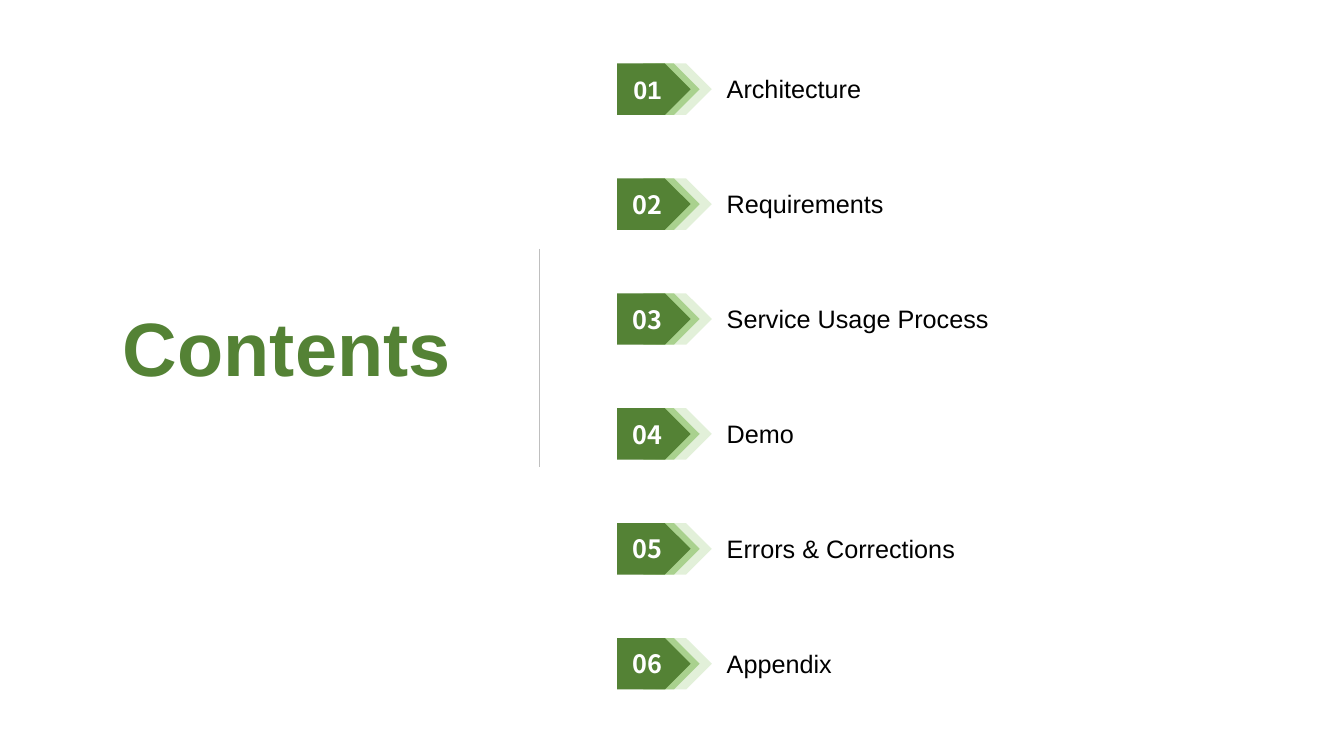
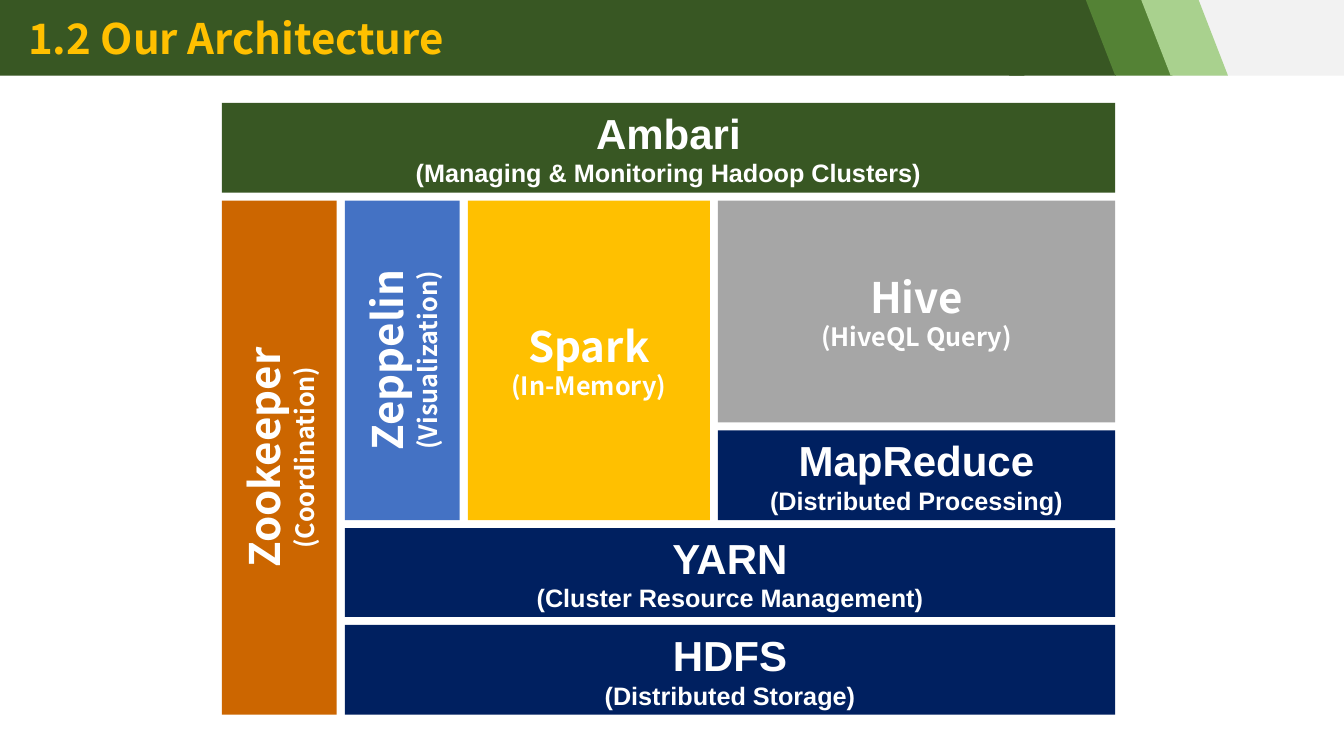
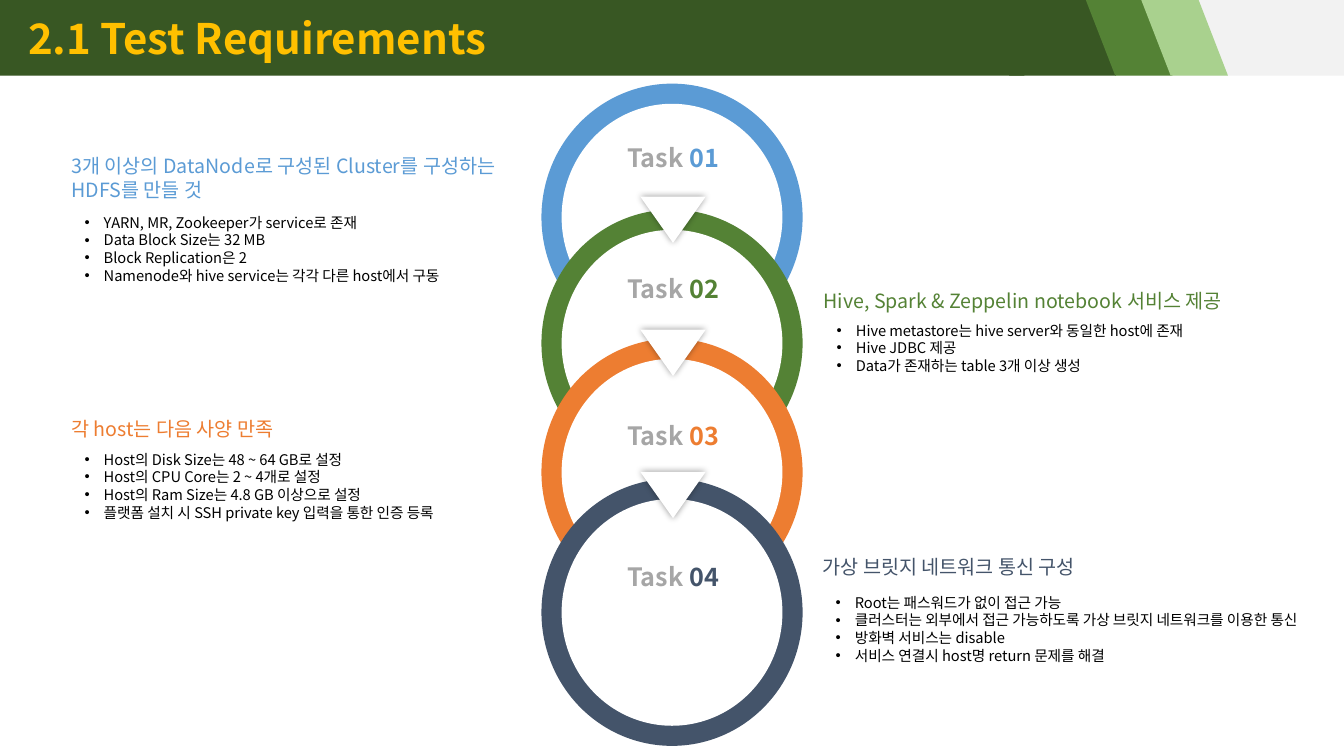
from lxml import etree
from pptx import Presentation
from pptx.dml.color import RGBColor
from pptx.enum import shapes, text
from pptx.oxml.ns import qn
from pptx.util import Inches, Pt

C = {"white": "FFFFFF", "black": "000000", "band": "F2F2F2", "rule": "BFBFBF",
     "dark": "385723", "green": "548235", "light": "A9D18E", "pale": "E2F0D9",
     "gold": "FFC000", "navy": "002060", "rust": "CC6600", "blue": "4472C4",
     "gray": "A6A6A6", "sky": "5B9BD5", "orange": "ED7D31", "slate": "44546A"}
SANS, NOTO = "Arial", "Noto Sans CJK KR"
KIND = shapes.MSO_SHAPE
CENTER = text.PP_ALIGN.CENTER


def add_box(s, kind, left, top, width, height, fill=None):
    """Add a flat preset shape, or a growing text box when kind is None."""
    at = [Inches(v) for v in (left, top, width, height)]
    if kind is None:
        sp = s.shapes.add_textbox(*at)
        sp.text_frame.auto_size = text.MSO_AUTO_SIZE.SHAPE_TO_FIT_TEXT
    else:
        sp = s.shapes.add_shape(kind, *at)
        sp.shadow.inherit = False
        sp.fill.solid()
        sp.fill.fore_color.rgb = RGBColor.from_string(C[fill])
        sp.line.fill.background()
    sp.text_frame.word_wrap = True
    return sp


def write(sp, words, size, color, font=NOTO, bold=False, align=None):
    """Fill a shape with text, one paragraph per line, and return the paragraphs."""
    tf = sp.text_frame
    tf.text = words
    for p in tf.paragraphs:
        p.alignment = align
        for r in p.runs:
            r.font.size, r.font.bold, r.font.name = Pt(size), bold, font
            r.font.color.rgb = RGBColor.from_string(C[color])
            etree.SubElement(r.font._element, qn("a:ea"), typeface=font)
    return tf.paragraphs


prs = Presentation()
prs.slide_width, prs.slide_height = Inches(13.33), Inches(7.5)
contents, architecture, requirements = [
    prs.slides.add_slide(prs.slide_layouts[6]) for _ in range(3)]

# Title band of the inner slides
for s, title in [(architecture, "1.2 Our Architecture"),
                 (requirements, "2.1 Test Requirements")]:
    add_box(s, KIND.RECTANGLE, 0, 0, 13.33, 0.75, "band")
    add_box(s, KIND.RECTANGLE, 0, 0, 10.16, 0.75, "dark")
    for left, width, fill in [(9.72, 1.35, "dark"), (10.77, 0.86, "green"),
                              (11.32, 0.86, "light")]:
        sp = add_box(s, KIND.PARALLELOGRAM, left, 0, width, 0.75, fill)
        sp.adjustments[0] = 0.388
        sp._element.spPr.find(qn("a:xfrm")).set("flipH", "1")
    write(add_box(s, None, 0.18, 0.07, 8.88, 0.61), title, 30, "gold", bold=True)

# Slide 1: contents
s = contents
write(add_box(s, None, 1.11, 2.94, 3.47, 1.01), "Contents", 54, "green", SANS, True, CENTER)
rule = s.shapes.add_connector(shapes.MSO_CONNECTOR.STRAIGHT, Inches(5.35), Inches(2.47),
                              Inches(5.35), Inches(4.63))
rule.line.color.rgb = RGBColor.from_string(C["rule"])
rule.line.width = Pt(0.5)
etree.SubElement(rule._element.spPr, qn("a:effectLst"))

chapters = ["Architecture", "Requirements", "Service Usage Process", "Demo",
            "Errors & Corrections", "Appendix"]
for i, chapter in enumerate(chapters):
    top = 0.63 + 1.14 * i
    add_box(s, KIND.CHEVRON, 6.5, top, 0.56, 0.51, "pale")
    add_box(s, KIND.CHEVRON, 6.38, top, 0.56, 0.51, "light")
    tag = add_box(s, KIND.PENTAGON, 6.12, top, 0.73, 0.51, "green")
    write(tag, f"{i + 1:02}", 18, "white", NOTO if i else SANS, True, CENTER)
    write(add_box(s, None, 7.11, top + 0.05, 5.9, 0.4), chapter, 18, "black", SANS)

# Slide 2: blocks on a grid, each spanning columns c1..c2 and rows r1..r2
s = architecture
GAP = 0.08
cols = [2.2, 3.42, 4.64, 7.12, 11.14]
rows = [1.02, 1.99, 4.27, 5.24, 6.2, 7.17]
blocks = [
    ("HDFS", "Distributed Storage", 1, 4, 4, 5, "navy", SANS),
    ("YARN", "Cluster Resource Management", 1, 4, 3, 4, "navy", SANS),
    ("Spark", "In-Memory", 2, 3, 1, 3, "gold", NOTO),
    ("Ambari", "Managing & Monitoring Hadoop Clusters", 0, 4, 0, 1, "dark", SANS),
    ("MapReduce", "Distributed Processing", 3, 4, 2, 3, "navy", SANS),
    ("Zookeeper", "Coordination", 0, 1, 1, 5, "rust", NOTO),
    ("Zeppelin", "Visualization", 1, 2, 1, 3, "blue", NOTO),
    ("Hive", "HiveQL Query", 3, 4, 1, 2, "gray", NOTO),
]
for name, role, c1, c2, r1, r2, fill, font in blocks:
    left, top = cols[c1], rows[r1]
    width, height = cols[c2] - left - GAP, rows[r2] - top - GAP
    upright = name in ("Zookeeper", "Zeppelin")
    if upright:
        left, top = left + (width - height) / 2, top + (height - width) / 2
        width, height = height, width
    sp = add_box(s, KIND.RECTANGLE, left, top, width, height, fill)
    sp.rotation = 270 if upright else 0
    p = write(sp, f"{name}\n({role})", 30, "white", font, True, CENTER)
    p[1].runs[0].font.size = Pt(18)

# Slide 3: chain of rings with a note beside each
s = requirements
tasks = [
    # color, ring top, label top, note left, heading top, bullets top, heading, bullets
    ("sky", 0.83, 1.36, 0.61, 1.48, 2.07,
     "3개 이상의 DataNode로 구성된 Cluster를 구성하는 HDFS를 만들 것",
     ["YARN, MR, Zookeeper가 service로 존재", "Data Block Size는 32 MB",
      "Block Replication은 2", "Namenode와 hive service는 각각 다른 host에서 구동"]),
    ("green", 2.08, 2.66, 8.07, 2.82, 3.14,
     "Hive, Spark & Zeppelin notebook 서비스 제공",
     ["Hive metastore는 hive server와 동일한 host에 존재", "Hive JDBC 제공",
      "Data가 존재하는 table 3개 이상 생성"]),
    ("orange", 3.36, 4.12, 0.61, 4.09, 4.42,
     "각 host는 다음 사양 만족",
     ["Host의 Disk Size는 48 ~ 64 GB로 설정", "Host의 CPU Core는 2 ~ 4개로 설정",
      "Host의 Ram Size는 4.8 GB 이상으로 설정",
      "플랫폼 설치 시 SSH private key 입력을 통한 인증 등록"]),
    ("slate", 4.75, 5.52, 8.06, 5.46, 5.84,
     "가상 브릿지 네트워크 통신 구성",
     ["Root는 패스워드가 없이 접근 가능",
      "클러스터는 외부에서 접근 가능하도록 가상 브릿지 네트워크를 이용한 통신",
      "방화벽 서비스는 disable", "서비스 연결시 host명 return 문제를 해결"]),
]
for color, ring_top, *_ in tasks:
    add_box(s, KIND.OVAL, 5.37, ring_top, 2.59, 2.65, color)
    add_box(s, KIND.OVAL, 5.57, ring_top + 0.2, 2.19, 2.25, "white")

for top in (1.95, 3.27, 4.68):
    arrow = add_box(s, KIND.ISOSCELES_TRIANGLE, 6.35, top, 0.65, 0.46, "white")
    arrow.rotation = 180
    effects = arrow._element.spPr.find(qn("a:effectLst"))
    shadow = etree.SubElement(effects, qn("a:outerShdw"), blurRad=str(Pt(5)), dist="0")
    shade = etree.SubElement(shadow, qn("a:srgbClr"), val=C["black"])
    etree.SubElement(shade, qn("a:alpha"), val="40000")

for i, (color, _, label_top, left, head_top, list_top, heading, bullets) in enumerate(tasks, 1):
    label = add_box(s, None, 6.07, label_top, 1.21, 0.4)
    p = write(label, "Task ", 18, "gray", bold=True, align=CENTER)[0]
    r = p.add_run()
    r.text = f"{i:02}"
    r.font.size, r.font.bold, r.font.name = Pt(18), True, NOTO
    r.font.color.rgb = RGBColor.from_string(C[color])

    write(add_box(s, None, left, head_top, 4.78, 0.34), heading, 14, color)
    notes = add_box(s, None, left + 0.13, list_top, 4.98, 0.81)
    for p in write(notes, "\n".join(bullets), 10.5, "black"):
        pPr = p._p.get_or_add_pPr()
        pPr.set("marL", str(Inches(0.19)))
        pPr.set("indent", str(-Inches(0.19)))
        etree.SubElement(pPr, qn("a:buFont"), typeface=SANS)
        etree.SubElement(pPr, qn("a:buChar"), char="•")

prs.save("out.pptx")
